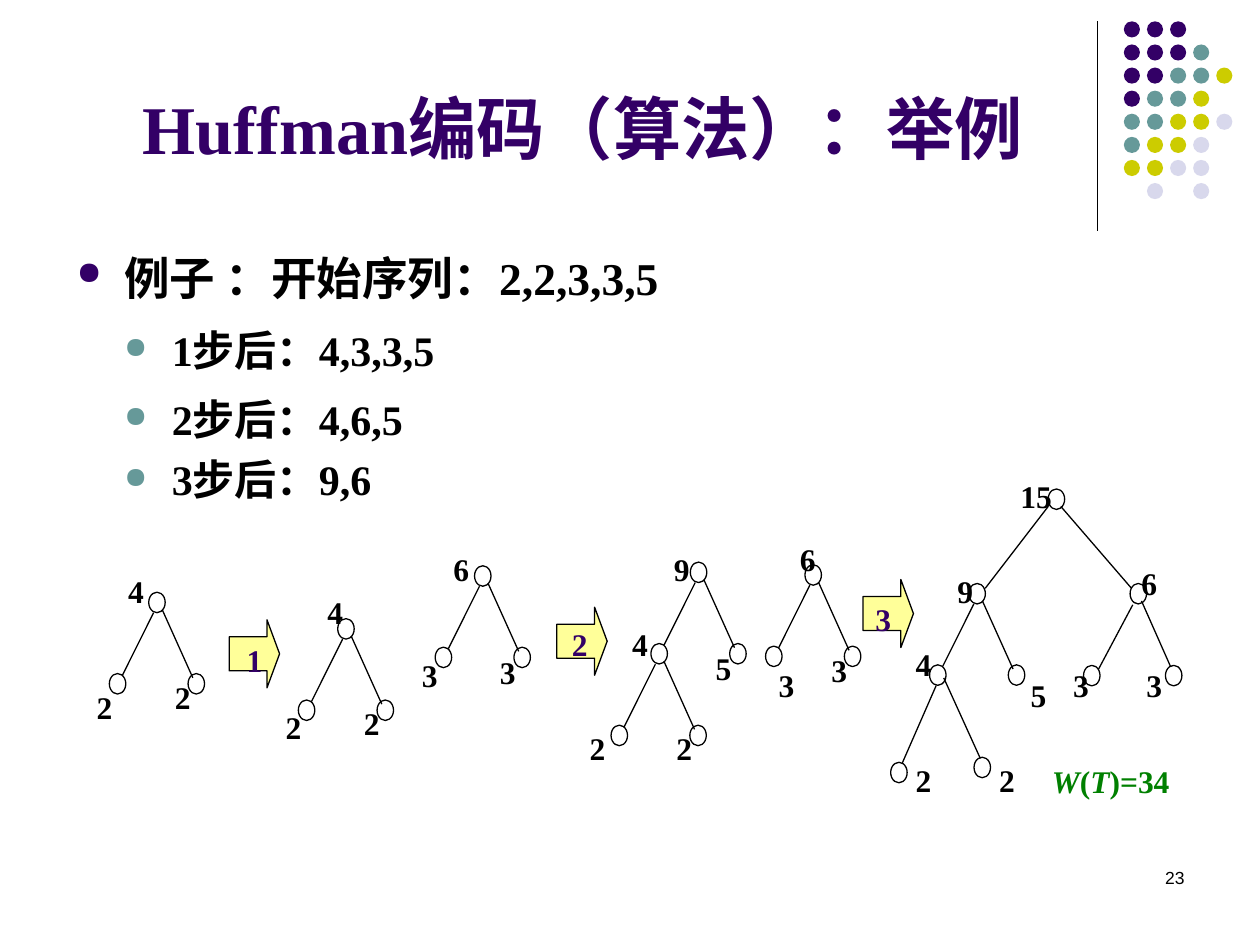
from lxml import etree
from pptx import Presentation
from pptx import util as u
from pptx.dml.color import RGBColor
from pptx.enum import shapes, text
from pptx.oxml import ns

COLORS = {
    "purple": "330066", "teal": "669999", "olive": "CCCC00", "lavender": "D8D8EC",
    "black": "000000", "white": "FFFFFF", "yellow": "FFFF99", "green": "008000",
}
DOT_ROWS = ["PPP", "PPPT", "PPTTO", "PTTO", "TTOOL", "TOOL", "OOLL", " L L"]
DOT_COLORS = {"P": "purple", "T": "teal", "O": "olive", "L": "lavender"}

ROOTS = [(85, 338.4), (193, 353.5), (271.2, 323.3), (394.5, 321.2), (460, 322.7), (553.7, 333.4)]
INNER = (371.7, 367.9)
FINAL_NODES = [(599, 279.4), (645.8, 333.4), (619.2, 380.2), (666, 380.2),
               (509, 435.6), (556.6, 432.7)]
FINAL_EDGES = [
    (599, 289.4, 563, 336.2), (606.2, 289.4, 646.6, 336.2),
    (647.3, 345.6, 627.8, 382.3), (652.3, 343.4, 668.9, 380.9),
    (535, 391.7, 515.5, 436.3), (539.3, 387.4, 560.2, 433.4),
]
LABELS = [
    ("4", 66.2, 323.3), ("2", 48.2, 389.5), ("2", 92.9, 383.8),
    ("4", 180, 335.5), ("2", 156.2, 401), ("2", 200.9, 398.9),
    ("6", 252, 311), ("3", 234, 371.5), ("3", 278.6, 369.4),
    ("9", 378, 311), ("4", 354.2, 353.5), ("5", 401.8, 367.2),
    ("2", 329.8, 413.3), ("2", 379.4, 413.3),
    ("6", 450, 305.3), ("3", 437.8, 377.3), ("3", 468, 368.6),
    ("15", 576, 269.3), ("9", 540, 323.3), ("6", 645.1, 319),
    ("4", 516.2, 365), ("5", 581.8, 383), ("3", 606.2, 377.3), ("3", 648, 377.3),
    ("2", 516.2, 431.3), ("2", 563.8, 431.3),
]
STEPS = [("1", 131, 354.2, 133.9, 362.9), ("2", 318.2, 347, 319.7, 353.5),
         ("3", 493.2, 331.2, 493.2, 339.1)]


def rgb(name):
    return RGBColor.from_string(COLORS[name])


def add_run(p, value, size=18, color="black", bold=True, italic=False, font="Times New Roman"):
    r = p.add_run()
    r.text = value
    r.font.size = u.Pt(size)
    r.font.name = font
    r.font.bold = bold
    r.font.italic = italic
    r.font.color.rgb = rgb(color)


def add_text(s, value, x, y, w, h, align=text.PP_ALIGN.LEFT,
             anchor=text.MSO_ANCHOR.TOP, **fmt):
    tf = s.shapes.add_textbox(u.Pt(x), u.Pt(y), u.Pt(w), u.Pt(h)).text_frame
    tf.word_wrap = True
    tf.vertical_anchor = anchor
    p = tf.paragraphs[0]
    p.alignment = align
    if value:
        add_run(p, value, **fmt)
    return tf


def add_shape(s, kind, x, y, w, h, fill, outlined=True):
    sp = s.shapes.add_shape(kind, u.Pt(x), u.Pt(y), u.Pt(w), u.Pt(h))
    sp.shadow.inherit = False
    sp.fill.solid()
    sp.fill.fore_color.rgb = rgb(fill)
    if outlined:
        sp.line.color.rgb = rgb("black")
        sp.line.width = u.Pt(0.75)
    else:
        sp.line.fill.background()
    return sp


def add_line(s, x1, y1, x2, y2):
    line = s.shapes.add_connector(shapes.MSO_CONNECTOR.STRAIGHT,
                                  u.Pt(x1), u.Pt(y1), u.Pt(x2), u.Pt(y2))
    line.line.color.rgb = rgb("black")
    line.line.width = u.Pt(0.75)
    etree.SubElement(line._element.spPr, ns.qn("a:effectLst"))


def add_node(s, x, y):
    add_shape(s, shapes.MSO_SHAPE.OVAL, x, y, 9.4, 11.7, "white")


def add_branch(s, x, y):
    for dx in (-22.5, 22.5):
        add_node(s, x + dx, y + 46.5)
    add_line(s, x + 2.8, y + 11.7, x - 15, y + 47.4)
    add_line(s, x + 7.7, y + 10, x + 25.2, y + 48.9)


def add_dots(s):
    for row, codes in enumerate(DOT_ROWS):
        for col, code in enumerate(codes):
            if code in DOT_COLORS:
                add_shape(s, shapes.MSO_SHAPE.OVAL, 642.2 + 13.2 * col, 12.2 + 13.2 * row,
                          9.2, 9.2, DOT_COLORS[code], outlined=False)


def format_bullet(p, level, color, before):
    p.level = level
    p.line_spacing = 1.2
    p.space_before = u.Pt(before)
    pPr = p._p.get_or_add_pPr()
    pPr.set("marL", str(u.Pt(27.2 * (level + 1))))
    pPr.set("indent", str(u.Pt(-27.2)))
    clr = etree.SubElement(pPr, ns.qn("a:buClr"))
    etree.SubElement(clr, ns.qn("a:srgbClr"), val=COLORS[color])
    etree.SubElement(pPr, ns.qn("a:buSzPct"), val="70000")
    etree.SubElement(pPr, ns.qn("a:buChar"), char="●")


def add_body(s):
    tf = add_text(s, "", 36.7, 128.2, 648, 158.4)
    p = tf.paragraphs[0]
    format_bullet(p, 0, "purple", 6)
    add_run(p, "例子 ：开始序列：2,2,3,3,5", size=26)
    add_run(p, " ", size=30)
    for value, before in (("1步后：4,3,3,5", 4.8), ("2步后：4,6,5", 4.8), ("3步后：9,6", 0)):
        p = tf.add_paragraph()
        format_bullet(p, 1, "teal", before)
        add_run(p, value, size=24)


def add_trees(s):
    for x, y in ROOTS:
        add_node(s, x, y)
        add_branch(s, x, y)
    add_branch(s, *INNER)
    for x, y in FINAL_NODES:
        add_node(s, x, y)
    for edge in FINAL_EDGES:
        add_line(s, *edge)
    for value, x, y in LABELS:
        add_text(s, value, x, y, 54 if len(value) > 1 else 33.8, 44.6,
                 align=text.PP_ALIGN.JUSTIFY)


def add_steps(s):
    for value, x, y, text_x, text_y in STEPS:
        arrow = add_shape(s, shapes.MSO_SHAPE.RIGHT_ARROW, x, y, 28.8, 38.9, "yellow")
        arrow.adjustments[0] = 0.5
        arrow.adjustments[1] = 0.25
        add_text(s, value, text_x, text_y, 36, 28.8, color="purple")


def add_weight(s):
    tf = add_text(s, "", 594, 432, 92.2, 71.3, align=text.PP_ALIGN.JUSTIFY)
    for value, italic in (("W", True), ("(", False), ("T", True), (")=34", False)):
        add_run(tf.paragraphs[0], value, color="green", italic=italic)


def main():
    prs = Presentation()
    prs.slide_width = u.Pt(720)
    prs.slide_height = u.Pt(540)
    s = prs.slides.add_slide(prs.slide_layouts[6])
    add_line(s, 627.1, 12.2, 627.1, 131.8)
    add_dots(s)
    add_text(s, "Huffman编码（算法）：举例", 36, 9.4, 594, 90, size=39, color="purple",
             align=text.PP_ALIGN.CENTER, anchor=text.MSO_ANCHOR.BOTTOM)
    add_body(s)
    add_trees(s)
    add_steps(s)
    add_weight(s)
    add_text(s, "23", 516.2, 491.8, 167.8, 36, size=10, bold=False, font="Arial",
             align=text.PP_ALIGN.RIGHT)
    prs.save("out.pptx")


if __name__ == "__main__":
    main()
